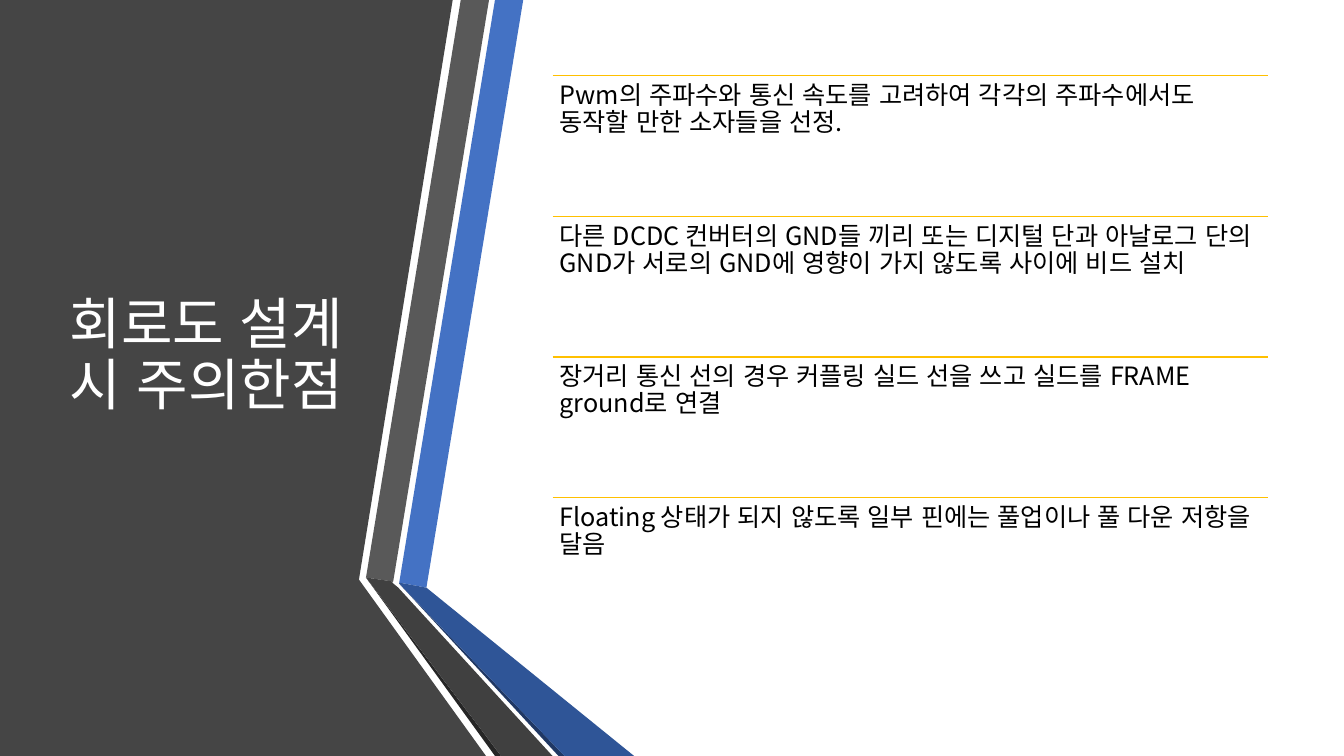
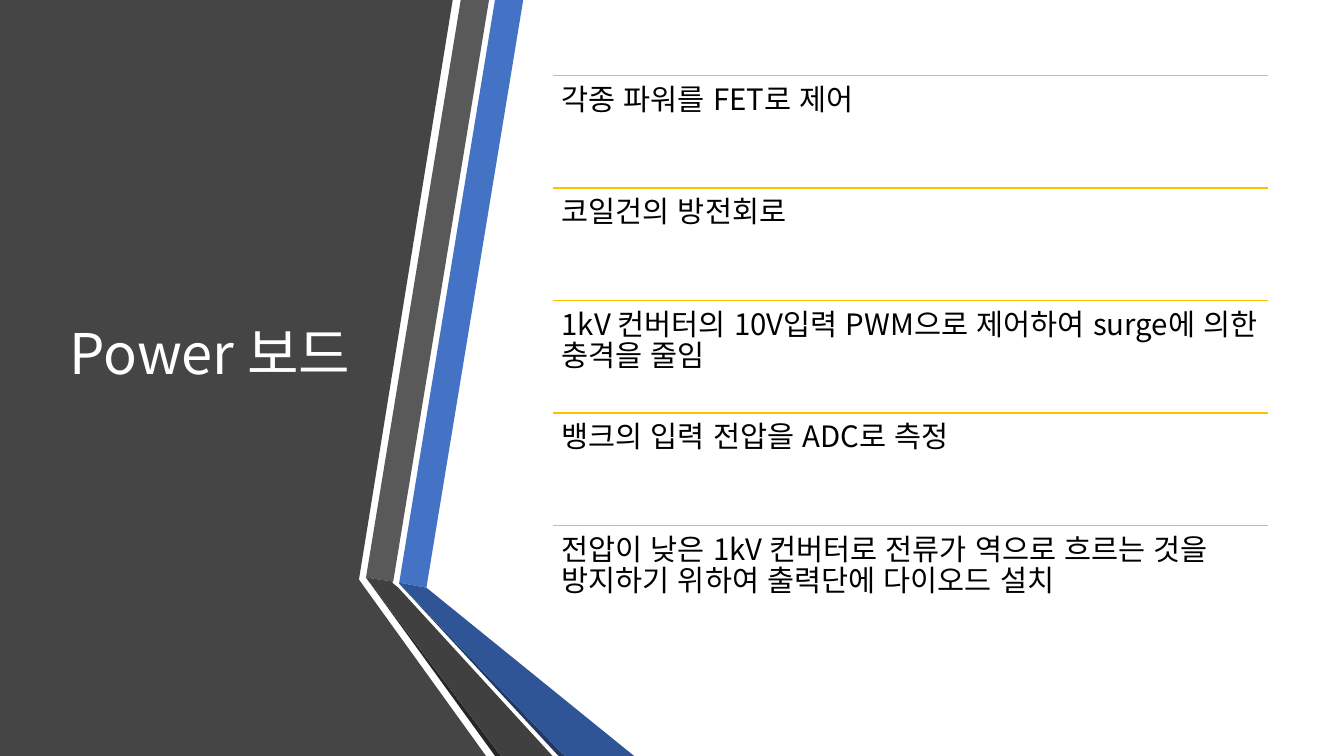
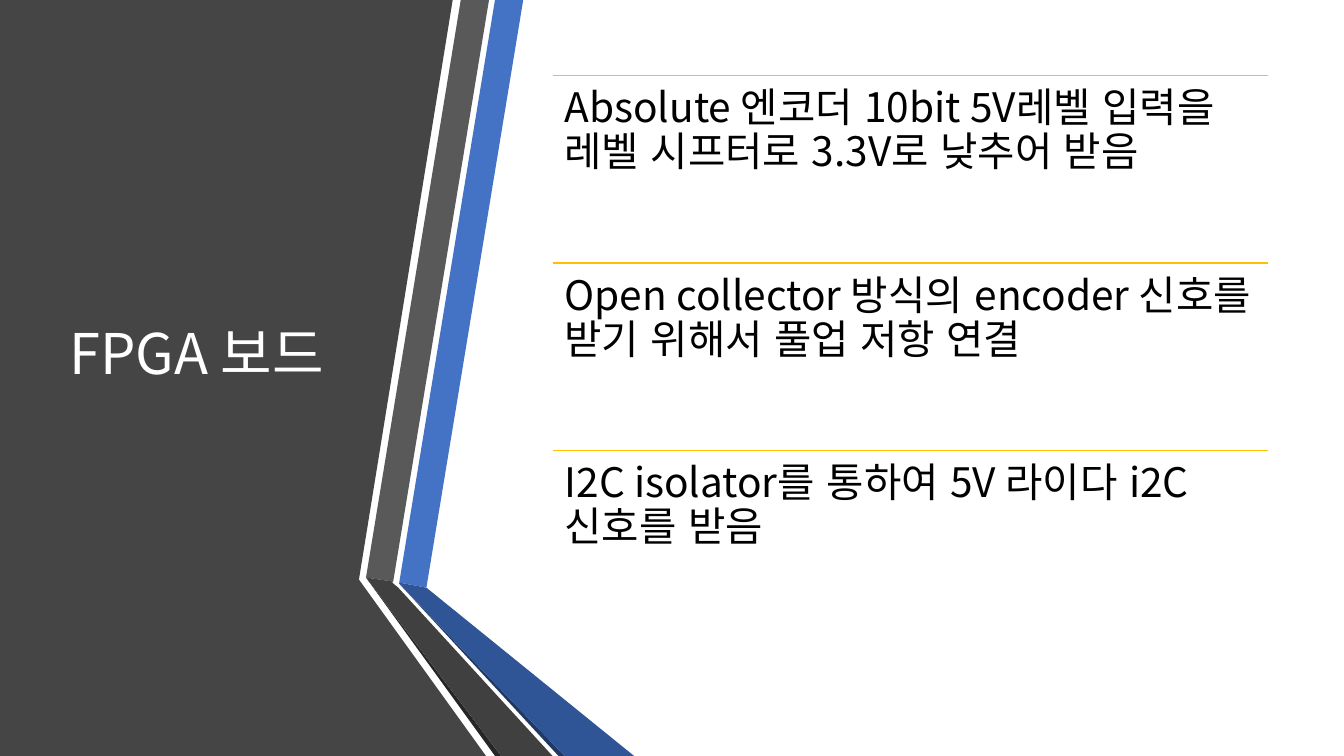
"""Build three circuit design slides with a folded ribbon panel and ruled lists."""
from dataclasses import dataclass

import pptx
import pptx.dml.color
import pptx.enum.lang
import pptx.enum.shapes
import pptx.enum.text
import pptx.oxml
import pptx.oxml.ns
import pptx.util
from pptx.util import Inches

SLIDES = [
    {
        "title": "회로도 설계 시 주의한점",
        "size": 18,
        "inset": 0.07,
        "items": [
            "Pwm의 주파수와 통신 속도를 고려하여 각각의 주파수에서도 동작할 만한 소자들을 선정.",
            "다른 DCDC 컨버터의 GND들 끼리 또는 디지털 단과 아날로그 단의 GND가 서로의 GND에 영향이 가지 않도록 사이에 비드 설치",
            "장거리 통신 선의 경우 커플링 실드 선을 쓰고 실드를 FRAME ground로 연결",
            "Floating 상태가 되지 않도록 일부 핀에는 풀업이나 풀 다운 저항을 달음",
        ],
    },
    {
        "title": "Power 보드",
        "size": 21,
        "inset": 0.09,
        "items": [
            "각종 파워를 FET로 제어",
            "코일건의 방전회로",
            "1kV 컨버터의 10V입력 PWM으로 제어하여 surge에 의한 충격을 줄임",
            "뱅크의 입력 전압을 ADC로 측정",
            "전압이 낮은 1kV 컨버터로 전류가 역으로 흐르는 것을 방지하기 위하여 출력단에 다이오드 설치",
        ],
    },
    {
        "title": "FPGA 보드",
        "size": 29,
        "inset": 0.12,
        "items": [
            "Absolute 엔코더 10bit 5V레벨 입력을 레벨 시프터로 3.3V로 낮추어 받음",
            "Open collector 방식의 encoder 신호를 받기 위해서 풀업 저항 연결",
            "I2C isolator를 통하여 5V 라이다 i2C 신호를 받음",
        ],
    },
]


@dataclass(frozen=True)
class Theme:
    font: str = "Noto Sans CJK KR"
    title_size: int = 40
    line_spacing: float = 0.9
    rule_width: int = 1
    title_color: str = "FFFFFF"
    text_color: str = "000000"
    rule_color: str = "FFC000"
    panel: str = "454545"
    blue: str = "4472C4"
    gray: str = "595959"
    gray_edge: str = "262626"
    blue_edge: str = "203864"
    blue_fold: str = "2F5597"
    gray_fold: str = "404040"


THEME = Theme()
TOP, HEIGHT = 0.75, 5.58
TITLE_LEFT, TITLE_WIDTH = 0.59, 3.04
LIST_LEFT, LIST_WIDTH = 5.48, 7.1

BANDS = [
    (THEME.panel, [(3.53, 0), (4.49, 0), (3.56, 5.75), (4.82, 7.5), (0, 7.5), (0, 0)]),
    (THEME.blue, [(3.96, 5.78), (4.23, 5.83), (5.19, 0), (4.91, 0)]),
    (THEME.gray, [(4.85, 0), (4.57, 0), (3.63, 5.73), (3.9, 5.77)]),
    (THEME.gray_edge, [(3.63, 5.73), (4.91, 7.5), (4.97, 7.5)]),
    (THEME.blue_edge, [(3.96, 5.79), (5.54, 7.5), (5.6, 7.5)]),
    (THEME.blue_fold, [(3.96, 5.79), (5.6, 7.5), (6.29, 7.5), (4.23, 5.83), (3.96, 5.78)]),
    (THEME.gray_fold, [(5.48, 7.5), (3.95, 5.83), (3.89, 5.78), (3.9, 5.77), (3.63, 5.73), (4.97, 7.5)]),
]


def rgb(value):
    return pptx.dml.color.RGBColor.from_string(value)


def write(frame, text, size, color, anchor):
    frame.word_wrap = True
    frame.auto_size = pptx.enum.text.MSO_AUTO_SIZE.NONE
    frame.vertical_anchor = anchor
    para = frame.paragraphs[0]
    para.alignment = pptx.enum.text.PP_ALIGN.LEFT
    para.line_spacing = THEME.line_spacing
    span = para.add_run()
    span.text = text
    span.font.size = pptx.util.Pt(size)
    span.font.color.rgb = rgb(color)
    span.font.name = THEME.font
    span.font.language_id = pptx.enum.lang.MSO_LANGUAGE_ID.KOREAN
    latin = span.font.fill._xPr.find(pptx.oxml.ns.qn("a:latin"))
    east_asian = pptx.oxml.parse_xml(
        f'<a:ea {pptx.oxml.ns.nsdecls("a")} typeface="{THEME.font}"/>'
    )
    latin.addnext(east_asian)


def draw_bands(page):
    for color, outline in BANDS:
        points = [(Inches(x), Inches(y)) for x, y in outline]
        builder = page.shapes.build_freeform(*points[0])
        builder.add_line_segments(points[1:], close=True)
        band = builder.convert_to_shape()
        band.shadow.inherit = False
        band.fill.solid()
        band.fill.fore_color.rgb = rgb(color)
        band.line.fill.background()


def place_title(page, text):
    title = page.shapes.title
    title.left, title.top = Inches(TITLE_LEFT), Inches(TOP)
    title.width, title.height = Inches(TITLE_WIDTH), Inches(HEIGHT)
    write(title.text_frame, text, THEME.title_size, THEME.title_color,
          pptx.enum.text.MSO_ANCHOR.MIDDLE)
    title.element.getparent().append(title.element)


def draw_rule(page, top):
    rule = page.shapes.add_connector(
        pptx.enum.shapes.MSO_CONNECTOR.STRAIGHT,
        Inches(LIST_LEFT), top, Inches(LIST_LEFT + LIST_WIDTH), top,
    )
    rule.line.color.rgb = rgb(THEME.rule_color)
    rule.line.width = pptx.util.Pt(THEME.rule_width)
    effects = pptx.oxml.parse_xml(f'<a:effectLst {pptx.oxml.ns.nsdecls("a")}/>')
    rule.element.spPr.append(effects)


def draw_list(page, items, size, inset):
    row_height = HEIGHT / len(items)
    for index, text in enumerate(items):
        top = Inches(TOP + index * row_height)
        draw_rule(page, top)
        box = page.shapes.add_textbox(
            Inches(LIST_LEFT), top, Inches(LIST_WIDTH), Inches(row_height)
        )
        frame = box.text_frame
        frame.margin_left = frame.margin_right = Inches(inset)
        frame.margin_top = frame.margin_bottom = Inches(inset)
        write(frame, text, size, THEME.text_color, pptx.enum.text.MSO_ANCHOR.TOP)


def main():
    deck = pptx.Presentation()
    deck.slide_width, deck.slide_height = Inches(13.33), Inches(7.5)
    title_only = deck.slide_layouts.get_by_name("Title Only")
    for content in SLIDES:
        page = deck.slides.add_slide(title_only)
        draw_bands(page)
        place_title(page, content["title"])
        draw_list(page, content["items"], content["size"], content["inset"])
    deck.save("out.pptx")


if __name__ == "__main__":
    main()
